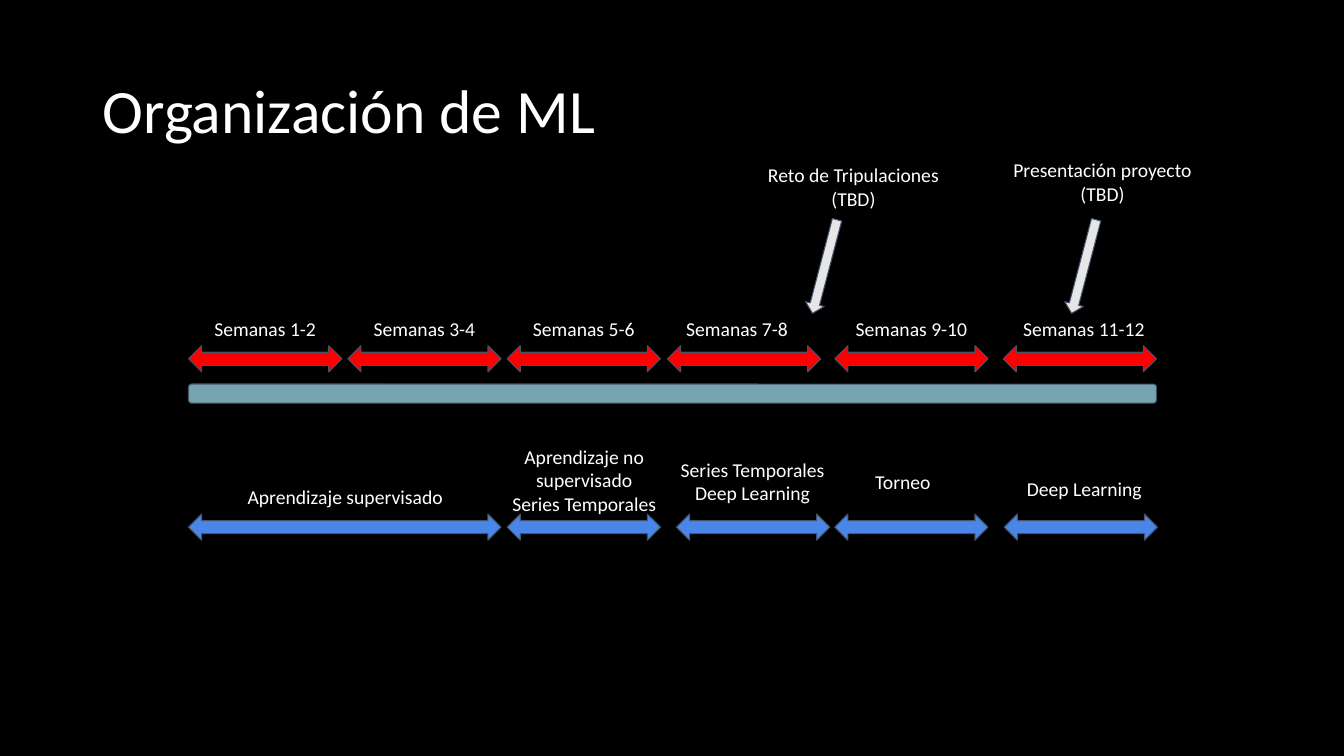
"""Build the slide with the timeline of the ML course."""
import pptx
import pptx.dml.color
import pptx.enum.shapes
import pptx.enum.text
import pptx.util

SHAPE = pptx.enum.shapes.MSO_SHAPE
ANCHOR = pptx.enum.text.MSO_ANCHOR
ALIGN = pptx.enum.text.PP_ALIGN
Inches = pptx.util.Inches
COLORS = {"background": "000000", "text": "FFFFFF", "outline": "44546A", "bar": "76A5AF",
          "weeks": "FF0000", "topics": "4A86E8", "milestone": "E7E6E6"}
COLUMNS = [1.87, 3.45, 5.03, 6.62, 8.28, 9.95]
ARROW_WIDTH, ARROW_HEIGHT = 1.52, 0.26
LABEL_HEIGHT = 0.39
WEEKS_TOP, BAR_TOP, TOPICS_TOP = 3.43, 3.81, 5.1


def add_block(kind, left, top, width, height, color):
    shape = slide.shapes.add_shape(kind, Inches(left), Inches(top), Inches(width), Inches(height))
    shape.shadow.inherit = False
    shape.fill.solid()
    shape.fill.fore_color.rgb = pptx.dml.color.RGBColor.from_string(COLORS[color])
    shape.line.color.rgb = pptx.dml.color.RGBColor.from_string(COLORS["outline"])
    shape.line.width = pptx.util.Pt(0.75)
    return shape


def add_label(text, left, top, width, height, size=14, align=ALIGN.CENTER, inset=0.1):
    text_frame = slide.shapes.add_textbox(
        Inches(left), Inches(top), Inches(width), Inches(height)).text_frame
    text_frame.word_wrap = True
    text_frame.margin_left = text_frame.margin_right = Inches(0.1)
    text_frame.margin_top = text_frame.margin_bottom = Inches(inset)
    text_frame.text = text
    for paragraph in text_frame.paragraphs:
        paragraph.alignment = align
        for run in paragraph.runs:
            run.font.size = pptx.util.Pt(size)
            run.font.name = "Calibri"
            run.font.color.rgb = pptx.dml.color.RGBColor.from_string(COLORS["text"])
    return text_frame


presentation = pptx.Presentation()
presentation.slide_width, presentation.slide_height = Inches(13.33), Inches(7.5)
slide = presentation.slides.add_slide(presentation.slide_layouts[6])
slide.background.fill.solid()
slide.background.fill.fore_color.rgb = pptx.dml.color.RGBColor.from_string(COLORS["background"])

title = add_label("Organización de ML", 0.92, 0.4, 11.5, 1.45, 44, ALIGN.LEFT, 0.05)
title.vertical_anchor = ANCHOR.MIDDLE
title.paragraphs[0].line_spacing = 0.9

timeline_width = COLUMNS[-1] + ARROW_WIDTH - COLUMNS[0]
timeline = add_block(SHAPE.ROUNDED_RECTANGLE, COLUMNS[0], BAR_TOP, timeline_width, 0.19, "bar")

week_label_lefts = [1.87, 3.45, 5.03, 6.55, 8.28, 9.99]
for index, (column, label_left) in enumerate(zip(COLUMNS, week_label_lefts)):
    add_block(SHAPE.LEFT_RIGHT_ARROW, column, WEEKS_TOP, ARROW_WIDTH, ARROW_HEIGHT, "weeks")
    add_label(f"Semanas {2 * index + 1}-{2 * index + 2}", label_left,
              WEEKS_TOP - LABEL_HEIGHT, ARROW_WIDTH, LABEL_HEIGHT)

topics = [
    ("Aprendizaje supervisado", COLUMNS[0], 3.1, 2.04, 4.71, 2.77),
    ("Aprendizaje no supervisado\nSeries Temporales", COLUMNS[2], ARROW_WIDTH, 4.88, 4.31, 1.83),
    ("Series Temporales\nDeep Learning", 6.71, ARROW_WIDTH, 6.55, 4.44, 1.83),
    ("Torneo", COLUMNS[4], ARROW_WIDTH, 8.04, 4.56, 1.83),
    ("Deep Learning", 9.96, ARROW_WIDTH, 9.84, 4.63, 1.83),
]
for text, arrow_left, arrow_width, label_left, label_top, label_width in topics:
    add_block(SHAPE.LEFT_RIGHT_ARROW, arrow_left, TOPICS_TOP, arrow_width, ARROW_HEIGHT, "topics")
    add_label(text, label_left, label_top, label_width, LABEL_HEIGHT)

milestones = [
    ("Presentación proyecto (TBD)", 10.27, 9.77, 1.47, 2.33),
    ("Reto de Tripulaciones (TBD)", 7.7, 7.41, 1.52, 2.11),
]
for text, arrow_left, label_left, label_top, label_width in milestones:
    arrow = add_block(SHAPE.RIGHT_ARROW, arrow_left, 2.55, 0.96, 0.19, "milestone")
    arrow.rotation = 104.7
    add_label(text, label_left, label_top, label_width, 0.64)

presentation.save("out.pptx")
